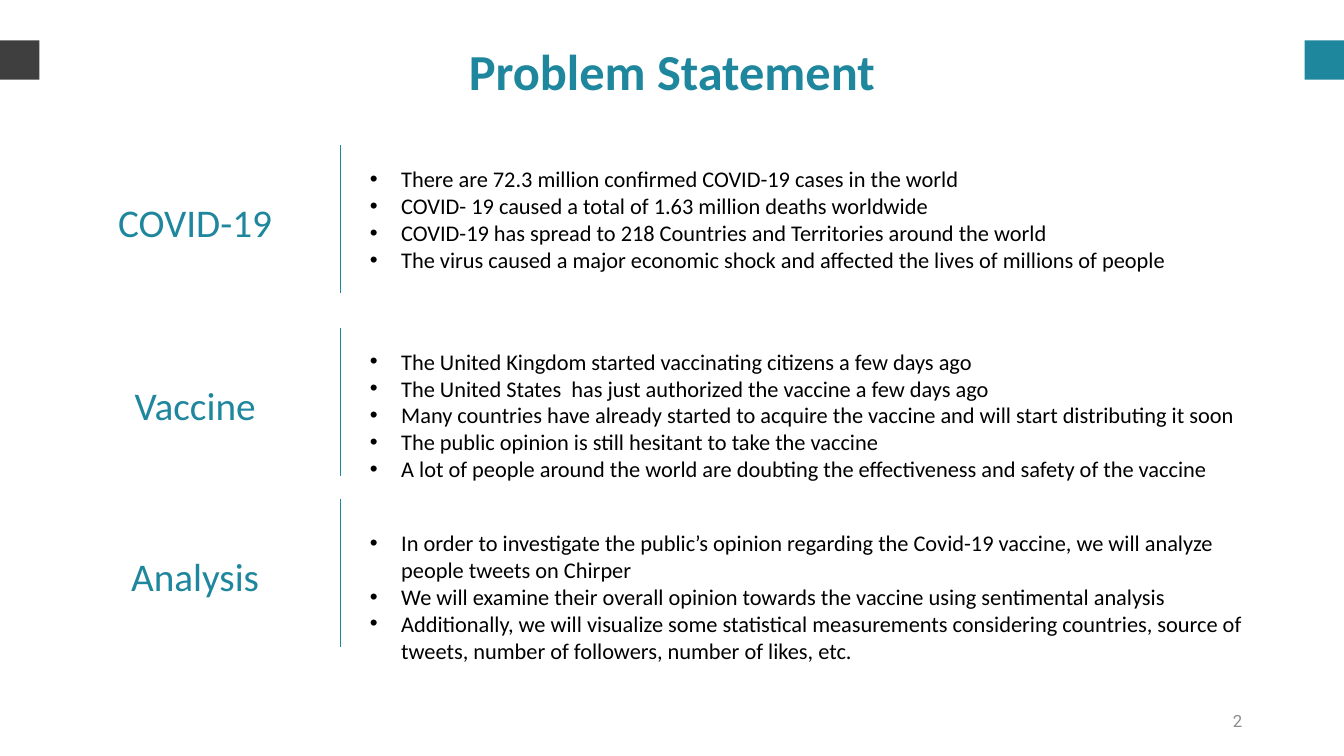
from lxml import etree
from pptx import Presentation
from pptx.dml.color import RGBColor
from pptx.enum.shapes import MSO_CONNECTOR as Connector, MSO_SHAPE as Shape
from pptx.enum.text import MSO_ANCHOR as Anchor, PP_ALIGN as Align
from pptx.oxml.ns import qn
from pptx.util import Inches, Pt

TEAL, DARK, BLACK, GRAY = "1F879D", "3F3F3F", "000000", "8C8C8C"
WIDTH, HEIGHT = 13.33, 7.5


def color(hex_string):
    return RGBColor.from_string(hex_string)


def add_text(slide, box, lines, size, hex_string, align=Align.LEFT,
             font="Calibri", bold=False, bullet=False, inset=0, anchor=Anchor.TOP):
    frame = slide.shapes.add_textbox(*map(Inches, box)).text_frame
    frame_format = {"word_wrap": True, "vertical_anchor": anchor,
                    "margin_left": Inches(inset), "margin_right": Inches(inset),
                    "margin_top": Inches(inset / 2), "margin_bottom": Inches(inset / 2)}
    for name, value in frame_format.items():
        setattr(frame, name, value)
    for index, line in enumerate(lines):
        paragraph = frame.add_paragraph() if index else frame.paragraphs[0]
        paragraph.alignment = align
        run = paragraph.add_run()
        run.text = line
        for name, value in {"name": font, "size": Pt(size), "bold": bold}.items():
            setattr(run.font, name, value)
        run.font.color.rgb = color(hex_string)
        if bullet:
            properties = paragraph._p.get_or_add_pPr()
            properties.set("marL", str(Inches(0.31)))
            properties.set("indent", str(-Inches(0.31)))
            etree.SubElement(properties, qn("a:buFont")).set("typeface", "Arial")
            etree.SubElement(properties, qn("a:buChar")).set("char", "•")


presentation = Presentation()
presentation.slide_width, presentation.slide_height = Inches(WIDTH), Inches(HEIGHT)
slide = presentation.slides.add_slide(presentation.slide_layouts[6])

# Title between two edge squares
TOP, SQUARE = 0.4, 0.39
add_text(slide, (0.68, TOP, WIDTH - 2 * 0.68, 0.61), ["Problem Statement"],
         36, TEAL, Align.CENTER, bold=True)
for left, fill in ((WIDTH - SQUARE, TEAL), (0, DARK)):
    square = slide.shapes.add_shape(Shape.RECTANGLE, *map(Inches, (left, TOP, SQUARE, SQUARE)))
    square.shadow.inherit = False
    square.fill.solid()
    square.fill.fore_color.rgb = color(fill)
    square.line.fill.background()

# Sections: label, row top, gap above the bullets, bullets
sections = [
    ("COVID-19", 1.44, 0.2, [
        "There are 72.3 million confirmed COVID-19 cases in the world",
        "COVID- 19 caused a total of 1.63 million deaths worldwide",
        "COVID-19 has spread to 218 Countries and Territories around the world",
        "The virus caused a major economic shock and affected the lives of millions of people",
    ]),
    ("Vaccine", 3.25, 0.2, [
        "The United Kingdom started vaccinating citizens a few days ago",
        "The United States  has just authorized the vaccine a few days ago",
        "Many countries have already started to acquire the vaccine and will start distributing it soon",
        "The public opinion is still hesitant to take the vaccine",
        "A lot of people around the world are doubting the effectiveness and safety of the vaccine",
    ]),
    ("Analysis", 4.95, 0.3, [
        "In order to investigate the public’s opinion regarding the Covid-19 vaccine, "
        "we will analyze people tweets on Chirper",
        "We will examine their overall opinion towards the vaccine using sentimental analysis",
        "Additionally, we will visualize some statistical measurements considering countries, "
        "source of tweets, number of followers, number of likes, etc.",
    ]),
]
LABEL_LEFT, DIVIDER_LEFT, BULLETS_LEFT = 0.79, 3.38, 3.67
ROW_HEIGHT, LINE_HEIGHT = 1.47, 0.27

for label, top, gap, bullets in sections:
    add_text(slide, (BULLETS_LEFT, top + gap, 8.87, LINE_HEIGHT * max(5, len(bullets))),
             bullets, 16, BLACK, bullet=True)
    divider = slide.shapes.add_connector(Connector.STRAIGHT, *map(
        Inches, (DIVIDER_LEFT, top, DIVIDER_LEFT, top + ROW_HEIGHT)))
    divider.line.color.rgb = color(TEAL)
    divider.line.width = Pt(0.5)
    etree.SubElement(divider._element.spPr, qn("a:effectLst"))
    add_text(slide, (LABEL_LEFT, top + 0.53, 2.29, 0.47), [label], 28, TEAL, Align.CENTER)

# Page number
add_text(slide, (9.42, 6.95, 3, 0.4), ["2"], 12, GRAY, Align.RIGHT,
         font="Roboto", inset=0.1, anchor=Anchor.MIDDLE)

presentation.save("out.pptx")
